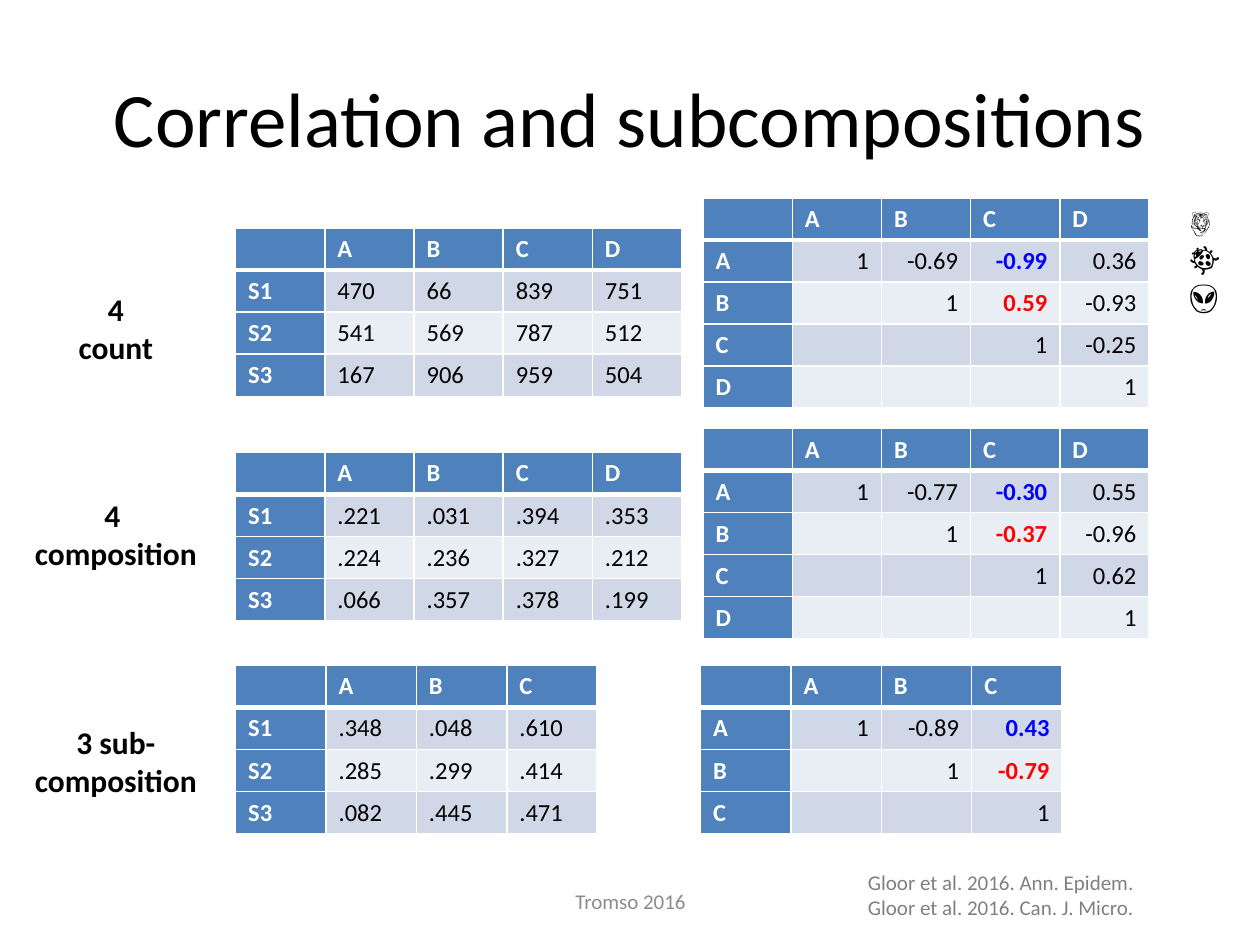
import dataclasses

import lxml.etree
import pptx
import pptx.dml.color
import pptx.enum.text
import pptx.oxml.ns
import pptx.util

Inches = pptx.util.Inches
ALIGN = pptx.enum.text.PP_ALIGN
ANCHOR = pptx.enum.text.MSO_ANCHOR


@dataclasses.dataclass(frozen=True)
class Theme:
    font: str = "Calibri"
    black: str = "000000"
    white: str = "FFFFFF"
    header: str = "4F81BD"
    bands: tuple = ("D0D8E8", "E9EDF4")
    blue: str = "0000FF"
    red: str = "FF0000"
    citation: str = "808080"
    footer: str = "8C8C8C"
    title_size: int = 44
    label_size: int = 18
    table_size: int = 14
    small_size: int = 12
    thin_line: int = 1
    thick_line: int = 3


class SlideBuilder:
    def __init__(self, slide, theme):
        self.slide = slide
        self.theme = theme

    def add_run(self, paragraph, text, size, color, bold=False):
        run = paragraph.add_run()
        run.text = text
        run.font.name = self.theme.font
        run.font.size = pptx.util.Pt(size)
        run.font.bold = bold
        run.font.color.rgb = pptx.dml.color.RGBColor.from_string(color)

    def add_text(self, box, lines, size, color, bold=False, align=ALIGN.LEFT,
                 anchor=ANCHOR.TOP, wrap=True):
        shape = self.slide.shapes.add_textbox(*map(Inches, box))
        frame = shape.text_frame
        frame.word_wrap = wrap
        frame.vertical_anchor = anchor
        for index, line in enumerate(lines):
            paragraph = frame.paragraphs[0] if index == 0 else frame.add_paragraph()
            paragraph.alignment = align
            self.add_run(paragraph, line, size, color, bold)

    def add_borders(self, cell, top, bottom):
        properties = cell._tc.get_or_add_tcPr()
        thin = self.theme.thin_line
        for side, width in (("L", thin), ("R", thin), ("T", top), ("B", bottom)):
            line = lxml.etree.SubElement(
                properties, pptx.oxml.ns.qn(f"a:ln{side}"), w=str(pptx.util.Pt(width)))
            fill = lxml.etree.SubElement(line, pptx.oxml.ns.qn("a:solidFill"))
            lxml.etree.SubElement(
                fill, pptx.oxml.ns.qn("a:srgbClr"), val=self.theme.white)

    def add_table(self, left, top, width, height, rows, align=ALIGN.LEFT, highlights=None):
        """Fill a table; highlights maps (row, column) to a text colour."""
        theme = self.theme
        highlights = highlights or {}
        table = self.slide.shapes.add_table(
            len(rows), len(rows[0]), *map(Inches, (left, top, width, height))).table
        for column in table.columns:
            column.width = Inches(width / len(rows[0]))
        for row_index, values in enumerate(rows):
            table.rows[row_index].height = Inches(height / len(rows))
            for column_index, value in enumerate(values):
                cell = table.cell(row_index, column_index)
                is_header = row_index == 0 or column_index == 0
                self.add_borders(
                    cell,
                    theme.thick_line if row_index == 1 else theme.thin_line,
                    theme.thick_line if row_index == 0 else theme.thin_line)
                fill = theme.header if is_header else theme.bands[(row_index - 1) % 2]
                cell.fill.solid()
                cell.fill.fore_color.rgb = pptx.dml.color.RGBColor.from_string(fill)
                paragraph = cell.text_frame.paragraphs[0]
                paragraph.alignment = ALIGN.LEFT if is_header else align
                if value:
                    highlight = highlights.get((row_index, column_index))
                    color = highlight or (theme.white if is_header else theme.black)
                    self.add_run(paragraph, value, theme.table_size, color,
                                 is_header or highlight is not None)
                else:
                    # Keeps empty cells from stretching their row
                    lxml.etree.SubElement(
                        paragraph._p, pptx.oxml.ns.qn("a:endParaRPr"),
                        sz=str(theme.table_size * 100))


def sample_rows(names, samples):
    return [["", *names]] + [
        [f"S{number}", *values.split()] for number, values in enumerate(samples, 1)]


def correlation_rows(names, upper):
    """Build a triangular matrix from the values right of its diagonal."""
    return [["", *names]] + [
        [name, *[""] * index, "1", *values.split()]
        for index, (name, values) in enumerate(zip(names, upper))]


def main():
    theme = Theme()
    presentation = pptx.Presentation()
    presentation.slide_width = Inches(10)
    presentation.slide_height = Inches(7.5)
    slide = presentation.slides.add_slide(presentation.slide_layouts[6])
    builder = SlideBuilder(slide, theme)

    # Title
    builder.add_text((0.5, 0.3, 9, 1.25), ["Correlation and subcompositions"],
                     theme.title_size, theme.black, align=ALIGN.CENTER,
                     anchor=ANCHOR.MIDDLE)

    # Each row: label, table of samples, correlation matrix
    # (label box, label, names, width, sample top, samples, matrix place, upper values)
    sections = [
        ((0.52, 2.25, 0.8, 0.71), ["4", "count"], "ABCD", 3.54,
         1.81, ["470 66 839 751", "541 569 787 512", "167 906 959 504"],
         (5.58, 1.57), ["-0.69 -0.99 0.36", "0.59 -0.93", "-0.25", ""]),
        ((0.17, 3.89, 1.5, 0.71), ["4 ", "composition"], "ABCD", 3.54,
         3.59, [".221 .031 .394 .353", ".224 .236 .327 .212", ".066 .357 .378 .199"],
         (5.58, 3.4), ["-0.77 -0.30 0.55", "-0.37 -0.96", "0.62", ""]),
        ((0.17, 5.69, 1.5, 0.71), ["3 sub-", "composition"], "ABC", 2.87,
         5.28, [".348 .048 .610", ".285 .299 .414", ".082 .445 .471"],
         (5.56, 5.28), ["-0.89 0.43", "-0.79", ""]),
    ]
    highlights = {(1, 3): theme.blue, (2, 3): theme.red}
    row_height = 1.33 / 4
    for label_box, label, names, width, top, samples, place, upper in sections:
        builder.add_text(label_box, label, theme.label_size, theme.black, bold=True,
                         align=ALIGN.CENTER, wrap=False)
        builder.add_table(1.87, top, width, 4 * row_height, sample_rows(names, samples))
        builder.add_table(*place, width, (len(names) + 1) * row_height,
                          correlation_rows(names, upper), ALIGN.RIGHT, highlights)

    # Citations and footer
    builder.add_text((6.79, 6.85, 2.33, 0.5),
                     ["Gloor et al. 2016. Ann. Epidem.", "Gloor et al. 2016. Can. J. Micro."],
                     theme.small_size, theme.citation, wrap=False)
    builder.add_text((3.42, 6.95, 3.17, 0.4), ["Tromso 2016"], theme.small_size,
                     theme.footer, align=ALIGN.CENTER, anchor=ANCHOR.MIDDLE)

    # Symbols beside the first matrix
    builder.add_text((9.34, 1.55, 0.54, 1.01), ["🐯", "🐞", "👽"],
                     theme.label_size, theme.black)

    presentation.save("out.pptx")


if __name__ == "__main__":
    main()
